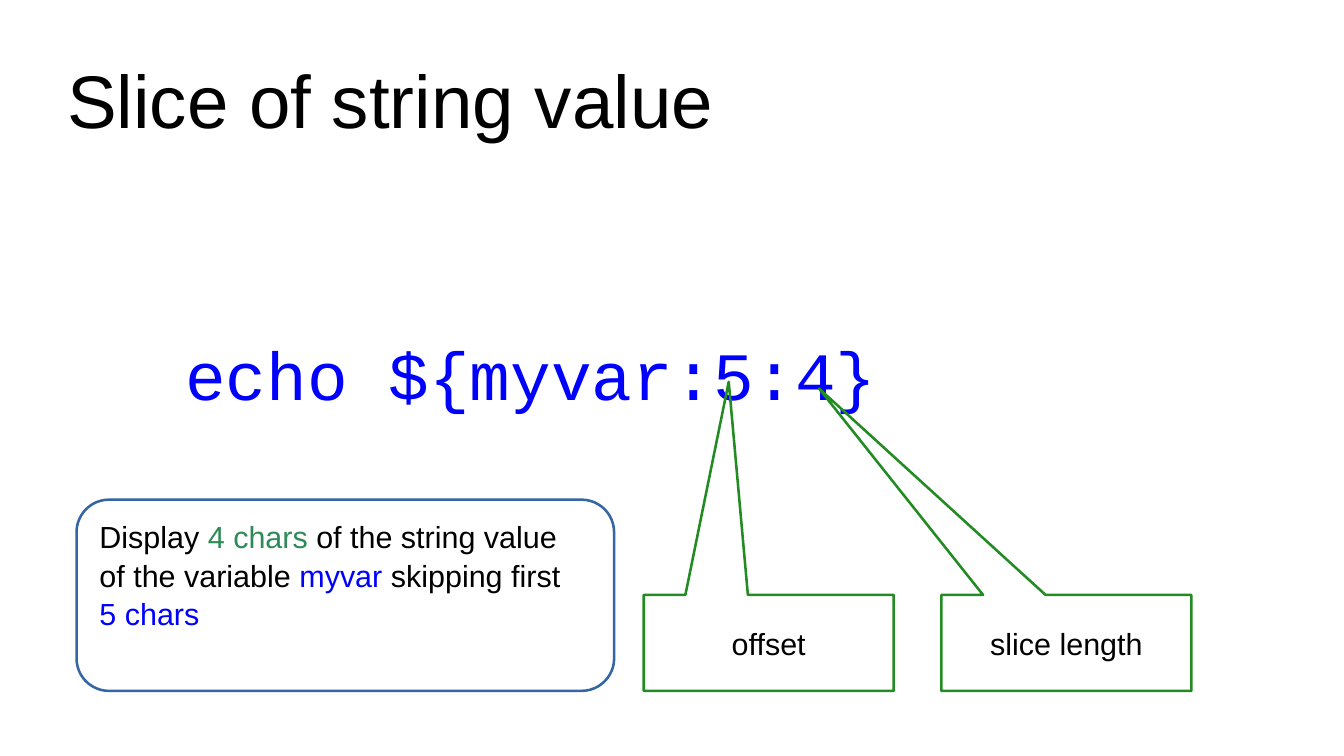
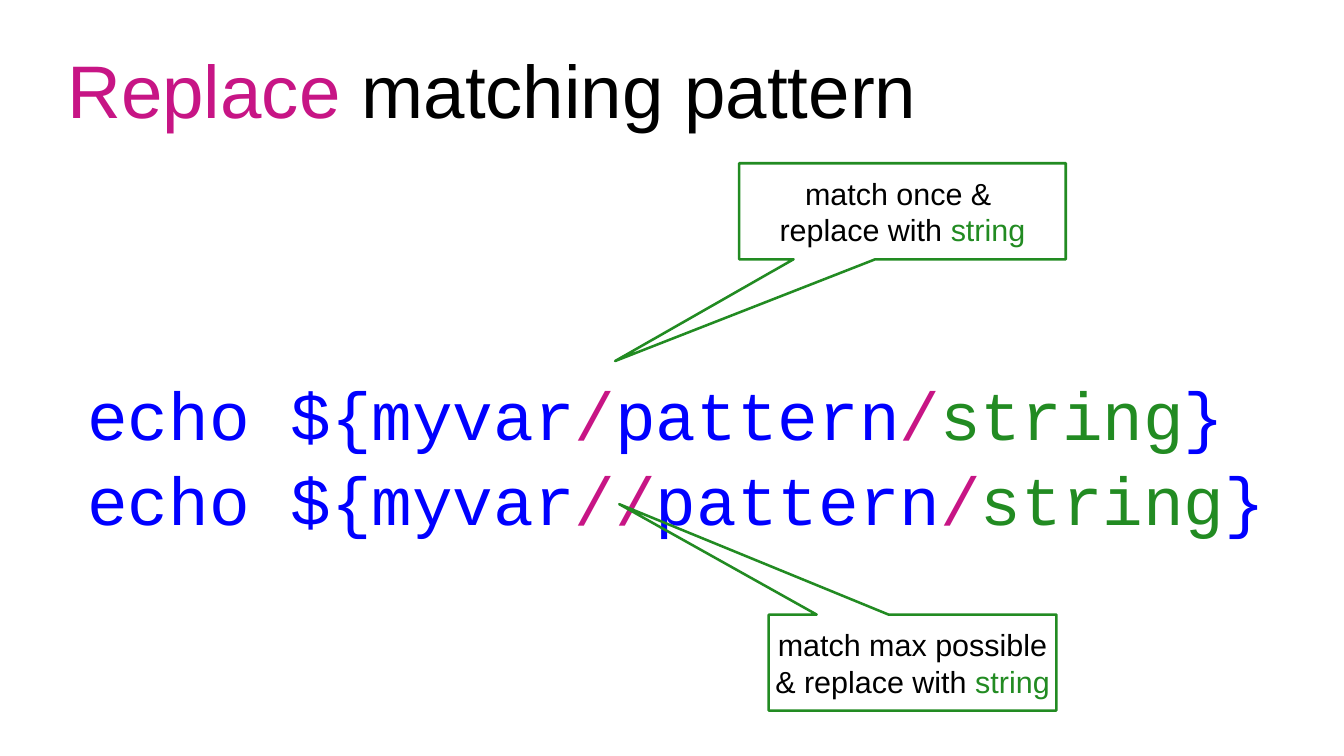
import pptx
import pptx.util
import pptx.dml.color
import pptx.enum.shapes
import pptx.enum.text

COLORS = {"black": "000000", "blue": "0000FF", "green": "228B22",
          "sea": "2E8B57", "magenta": "C71585", "steel": "3465A4"}
Pt, Inches = pptx.util.Pt, pptx.util.Inches
ALIGN = pptx.enum.text.PP_ALIGN
ANCHOR = pptx.enum.text.MSO_ANCHOR
SHAPES = pptx.enum.shapes.MSO_SHAPE

deck = pptx.Presentation()
deck.slide_width, deck.slide_height = Inches(11.02), Inches(6.2)
COLUMN, ROW = deck.slide_width / 100, deck.slide_height / 100


def grid(left, top, width, height):
    return [int(left * COLUMN), int(top * ROW), int(width * COLUMN), int(height * ROW)]


def write(frame, lines, font, size, insets, align=ALIGN.LEFT,
          anchor=ANCHOR.TOP, wrap=True, spacing=1.0):
    frame.auto_size = pptx.enum.text.MSO_AUTO_SIZE.NONE
    frame.word_wrap = wrap
    frame.vertical_anchor = anchor
    side, top, bottom = insets
    frame.margin_left = frame.margin_right = Inches(side)
    frame.margin_top, frame.margin_bottom = Inches(top), Inches(bottom)
    for number, line in enumerate(lines):
        paragraph = frame.add_paragraph() if number else frame.paragraphs[0]
        paragraph.alignment = align
        paragraph.line_spacing = spacing
        for words, color in line:
            run = paragraph.add_run()
            run.text = words
            run.font.name, run.font.size = font, Pt(size)
            run.font.color.rgb = pptx.dml.color.RGBColor.from_string(COLORS[color])


replace_lines = [
    [("echo ${myvar", "blue"), (slashes, "magenta"), ("pattern", "blue"),
     ("/", "magenta"), ("string", "green"), ("}", "blue")]
    for slashes in ("/", "//")]

summary = [
    [("Display ", "black"), ("4 chars", "sea"), (" of the string value", "black")],
    [("of the variable ", "black"), ("myvar ", "blue"), ("skipping first", "black")],
    [("5 chars", "blue")]]

ROUND, CALLOUT = SHAPES.ROUNDED_RECTANGLE, SHAPES.RECTANGULAR_CALLOUT
topics = [
    {"title": [("Slice of string value", "black")], "title_top": 4,
     "code": [[("echo ${myvar:5:4}", "blue")]], "code_at": (12.9, 41.6, 81.5, 21.9),
     "notes": [
         (ROUND, (5.7, 66.1, 40, 25.3), [0.17], summary),
         (CALLOUT, (47.9, 78.7, 18.6, 12.7), [-0.16, -2.72], [[("offset", "black")]]),
         (CALLOUT, (70.05, 78.7, 18.6, 12.7), [-0.99, -2.65],
          [[("slice length", "black")]])]},
    {"title": [("Replace", "magenta"), (" matching pattern", "black")], "title_top": 2.7,
     "code": replace_lines, "code_at": (5.6, 46.8, 91.5, 31.9),
     "notes": [
         (CALLOUT, (55, 21.6, 24.3, 12.7), [-0.88, 1.56],
          [[("match once & ", "black")],
           [("replace with ", "black"), ("string", "green")]]),
         (CALLOUT, (57.2, 81.3, 21.4, 12.7), [-1.02, -1.65],
          [[("match max possible", "black")],
           [("& replace with ", "black"), ("string", "green")]])]}]

for topic in topics:
    slide = deck.slides.add_slide(deck.slide_layouts[5])
    heading = slide.shapes.title
    heading.left, heading.top, heading.width, heading.height = grid(
        5, topic["title_top"], 90, 16.8)
    write(heading.text_frame, [topic["title"]], "Arial", 44, (0, 0.08, 0),
          anchor=ANCHOR.MIDDLE)

    code = slide.shapes.add_textbox(*grid(*topic["code_at"]))
    write(code.text_frame, topic["code"], "Courier New", 40, (0.1, 0.12, 0.05),
          spacing=1.05)

    for kind, place, adjustments, lines in topic["notes"]:
        note = slide.shapes.add_shape(kind, *grid(*place))
        for number, value in enumerate(adjustments):
            note.adjustments[number] = value
        note.shadow.inherit = False
        note.fill.background()
        note.line.width = Pt(1.5)
        is_callout = kind == CALLOUT
        note.line.color.rgb = pptx.dml.color.RGBColor.from_string(
            COLORS["green" if is_callout else "steel"])
        write(note.text_frame, lines, "Arial", 18, (0.11, 0.06, 0.06),
              align=ALIGN.CENTER if is_callout else ALIGN.LEFT,
              anchor=ANCHOR.MIDDLE if is_callout else ANCHOR.TOP,
              wrap=not is_callout, spacing=1.0 if is_callout else 1.05)

deck.save("out.pptx")
